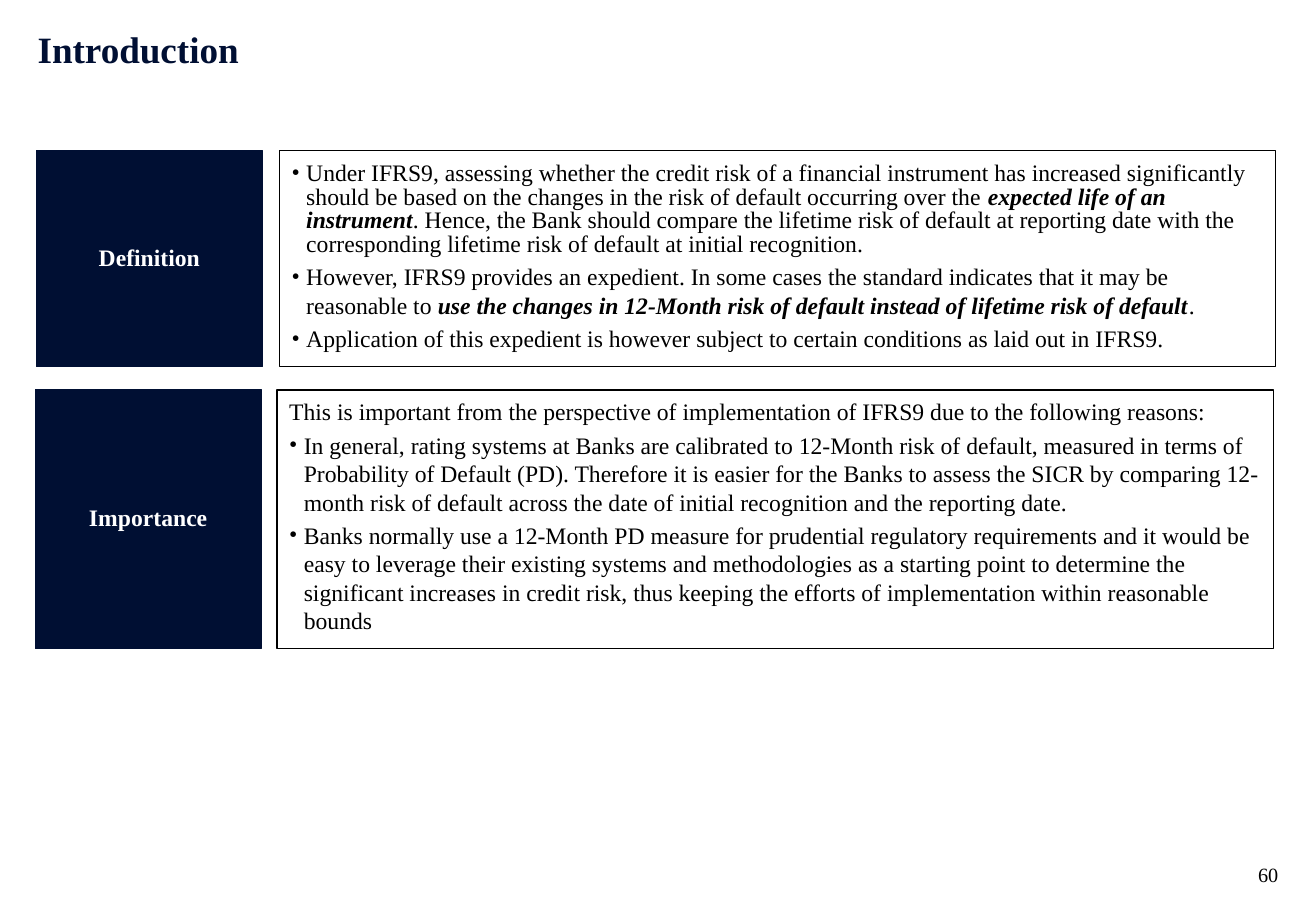
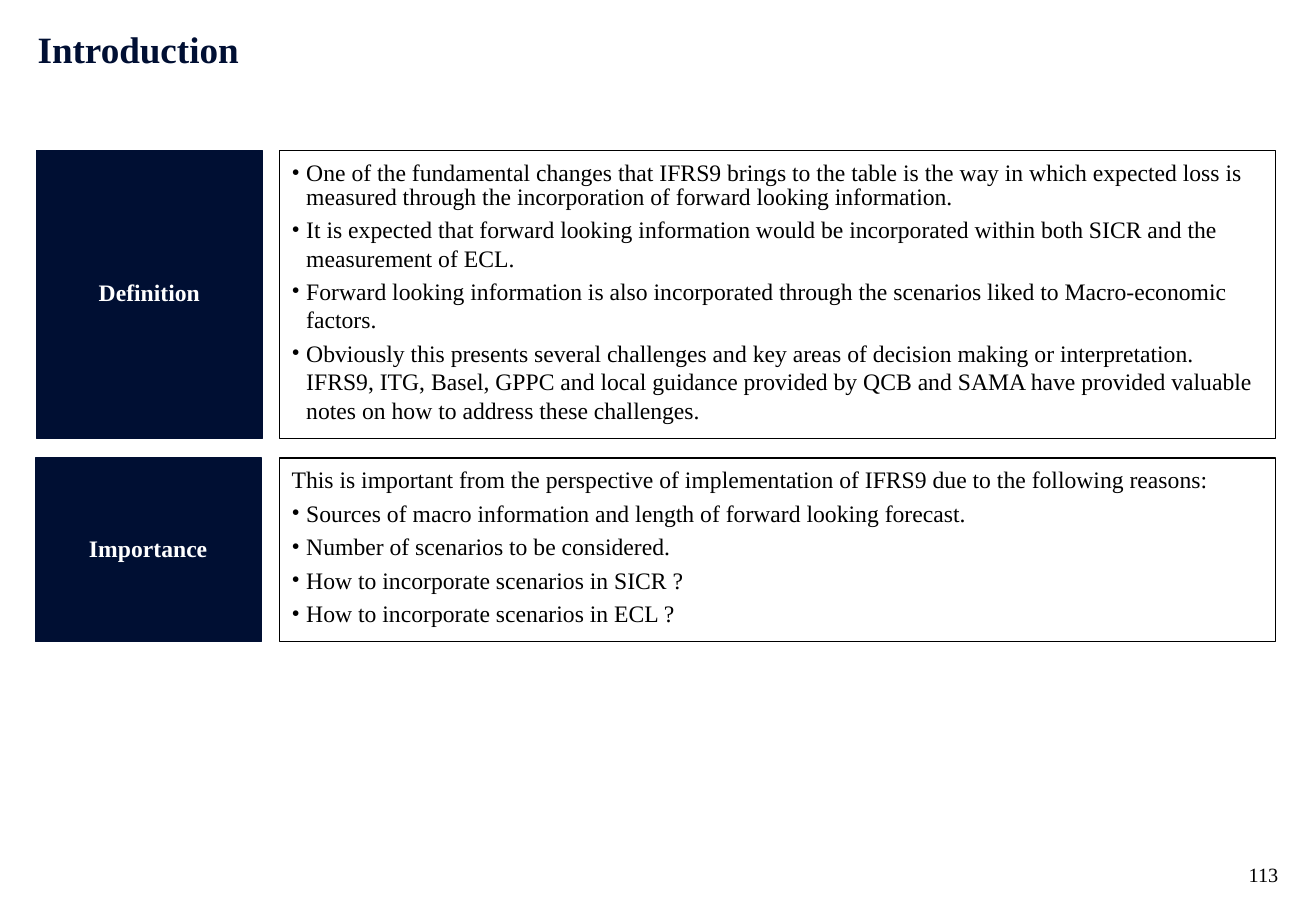
from lxml import etree
from pptx import Presentation
from pptx.dml.color import RGBColor
from pptx.enum import shapes, text
from pptx.oxml import ns
from pptx.util import Inches, Pt

# Shared style
FONT = "Times New Roman"
NAVY, BLACK, WHITE = "000F33", "000000", "FFFFFF"
LABEL_WIDTH, PANEL_WIDTH = 1.86, 8.2
BULLET_INDENT = 0.12
PADDING = 0.1

# Content: asterisks enclose emphasised words, a leading "• " makes a bullet
REASONS = ("This is important from the perspective of implementation of IFRS9 "
           "due to the following reasons:")

# Each section: label, label left, panel left, top, height, paragraphs
SLIDES = [
    ("Introduction", "60", [
        ("Definition", 0.3, 2.3, 1.24, 1.78, [
            "• Under IFRS9, assessing whether the credit risk of a financial instrument has "
            "increased significantly should be based on the changes in the risk of default "
            "occurring over the *expected life of an instrument*. Hence, the Bank should "
            "compare the lifetime risk of default at reporting date with the corresponding "
            "lifetime risk of default at initial recognition.",
            "• However, IFRS9 provides an expedient. In some cases the standard indicates "
            "that it may be reasonable to *use the changes in 12-Month risk of default "
            "instead of lifetime risk of default*.",
            "• Application of this expedient is however subject to certain conditions as "
            "laid out in IFRS9.",
        ]),
        ("Importance", 0.29, 2.28, 3.21, 2.13, [
            REASONS,
            "• In general, rating systems at Banks are calibrated to 12-Month risk of "
            "default, measured in terms of Probability of Default (PD). Therefore it is "
            "easier for the Banks to assess the SICR by comparing 12-month risk of default "
            "across the date of initial recognition and the reporting date.",
            "• Banks normally use a 12-Month PD measure for prudential regulatory "
            "requirements and it would be easy to leverage their existing systems and "
            "methodologies as a starting point to determine the significant increases in "
            "credit risk, thus keeping the efforts of implementation within reasonable bounds",
        ]),
    ]),
    ("Introduction", "113", [
        ("Definition", 0.3, 2.3, 1.24, 2.37, [
            "• One of the fundamental changes that IFRS9 brings to the table is the way in "
            "which expected loss is measured through the incorporation of forward looking "
            "information.",
            "• It is expected that forward looking information would be incorporated within "
            "both SICR and the measurement of ECL.",
            "• Forward looking information is also incorporated through the scenarios liked "
            "to Macro-economic factors.",
            "• Obviously this presents several challenges and key areas of decision making "
            "or interpretation. IFRS9, ITG, Basel, GPPC and local guidance provided by QCB "
            "and SAMA have provided valuable notes on how to address these challenges.",
        ]),
        ("Importance", 0.29, 2.3, 3.77, 1.51, [
            REASONS,
            "• Sources of macro information and length of forward looking forecast.",
            "• Number of scenarios to be considered.",
            "• How to incorporate scenarios in SICR ?",
            "• How to incorporate scenarios in ECL ?",
        ]),
    ]),
]


def colour(value):
    return RGBColor.from_string(value)


def place(shape, left, top, width, height):
    shape.left, shape.top = Inches(left), Inches(top)
    shape.width, shape.height = Inches(width), Inches(height)


def set_frame(shape, padding, anchor):
    frame = shape.text_frame
    frame.word_wrap = True
    frame.auto_size = text.MSO_AUTO_SIZE.NONE
    frame.vertical_anchor = anchor
    frame.margin_left = frame.margin_right = Inches(padding)
    frame.margin_top = frame.margin_bottom = Inches(padding)
    return frame


def set_outline(shape, value):
    shape.line.color.rgb = colour(value)
    shape.line.width = Pt(0.75)


def add_run(paragraph, words, size, value, bold=False, italic=False):
    run = paragraph.add_run()
    run.text = words
    font = run.font
    font.name, font.size, font.bold, font.italic = FONT, Pt(size), bold, italic
    font.color.rgb = colour(value)


def set_bullet(paragraph, bulleted):
    properties = paragraph._p.get_or_add_pPr()
    indent = Inches(BULLET_INDENT) if bulleted else 0
    properties.set("marL", str(indent))
    properties.set("indent", str(-indent))
    if bulleted:
        etree.SubElement(properties, ns.qn("a:buFont")).set("typeface", FONT)
        etree.SubElement(properties, ns.qn("a:buChar")).set("char", "•")
    else:
        etree.SubElement(properties, ns.qn("a:buNone"))


def fill_title(slide, words):
    title = slide.shapes.title
    place(title, 0.31, 0.26, 10.2, 0.65)
    paragraph = set_frame(title, 0, text.MSO_ANCHOR.TOP).paragraphs[0]
    paragraph.alignment = text.PP_ALIGN.LEFT
    paragraph.line_spacing = 0.9
    add_run(paragraph, words, 22, NAVY, bold=True)


def add_page_number(slide, number):
    box = slide.shapes.add_textbox(Inches(10.04), Inches(6.99), Inches(0.48), Inches(0.31))
    paragraph = set_frame(box, 0, text.MSO_ANCHOR.BOTTOM).paragraphs[0]
    paragraph.alignment = text.PP_ALIGN.RIGHT
    add_run(paragraph, number, 12, BLACK)


def add_label(slide, words, left, top, height):
    label = slide.shapes.add_shape(shapes.MSO_SHAPE.RECTANGLE, Inches(left), Inches(top),
                                   Inches(LABEL_WIDTH), Inches(height))
    label.shadow.inherit = False
    label.fill.solid()
    label.fill.fore_color.rgb = colour(NAVY)
    set_outline(label, NAVY)
    paragraph = set_frame(label, PADDING, text.MSO_ANCHOR.MIDDLE).paragraphs[0]
    paragraph.alignment = text.PP_ALIGN.CENTER
    paragraph.line_spacing = Pt(14.4)
    add_run(paragraph, words, 14, WHITE, bold=True)


def fill_panel(panel, left, top, height, paragraphs):
    place(panel, left, top, PANEL_WIDTH, height)
    set_outline(panel, BLACK)
    frame = set_frame(panel, PADDING, text.MSO_ANCHOR.TOP)
    for index, words in enumerate(paragraphs):
        paragraph = frame.add_paragraph() if index else frame.paragraphs[0]
        set_bullet(paragraph, words.startswith("• "))
        paragraph.space_before = Pt(3 if index else 0)
        paragraph.line_spacing = 1.0 if index else Pt(14)
        for part, piece in enumerate(words.removeprefix("• ").split("*")):
            emphasised = part % 2 == 1
            add_run(paragraph, piece, 14, BLACK, emphasised, emphasised)


def main():
    presentation = Presentation()
    presentation.slide_width, presentation.slide_height = Inches(10.83), Inches(7.5)
    two_content = presentation.slide_layouts.get_by_name("Two Content")
    for title, number, sections in SLIDES:
        slide = presentation.slides.add_slide(two_content)
        fill_title(slide, title)
        add_page_number(slide, number)
        for index, section in enumerate(sections, start=1):
            label, label_left, panel_left, top, height, paragraphs = section
            add_label(slide, label, label_left, top, height)
            fill_panel(slide.placeholders[index], panel_left, top, height, paragraphs)
    presentation.save("out.pptx")


if __name__ == "__main__":
    main()
